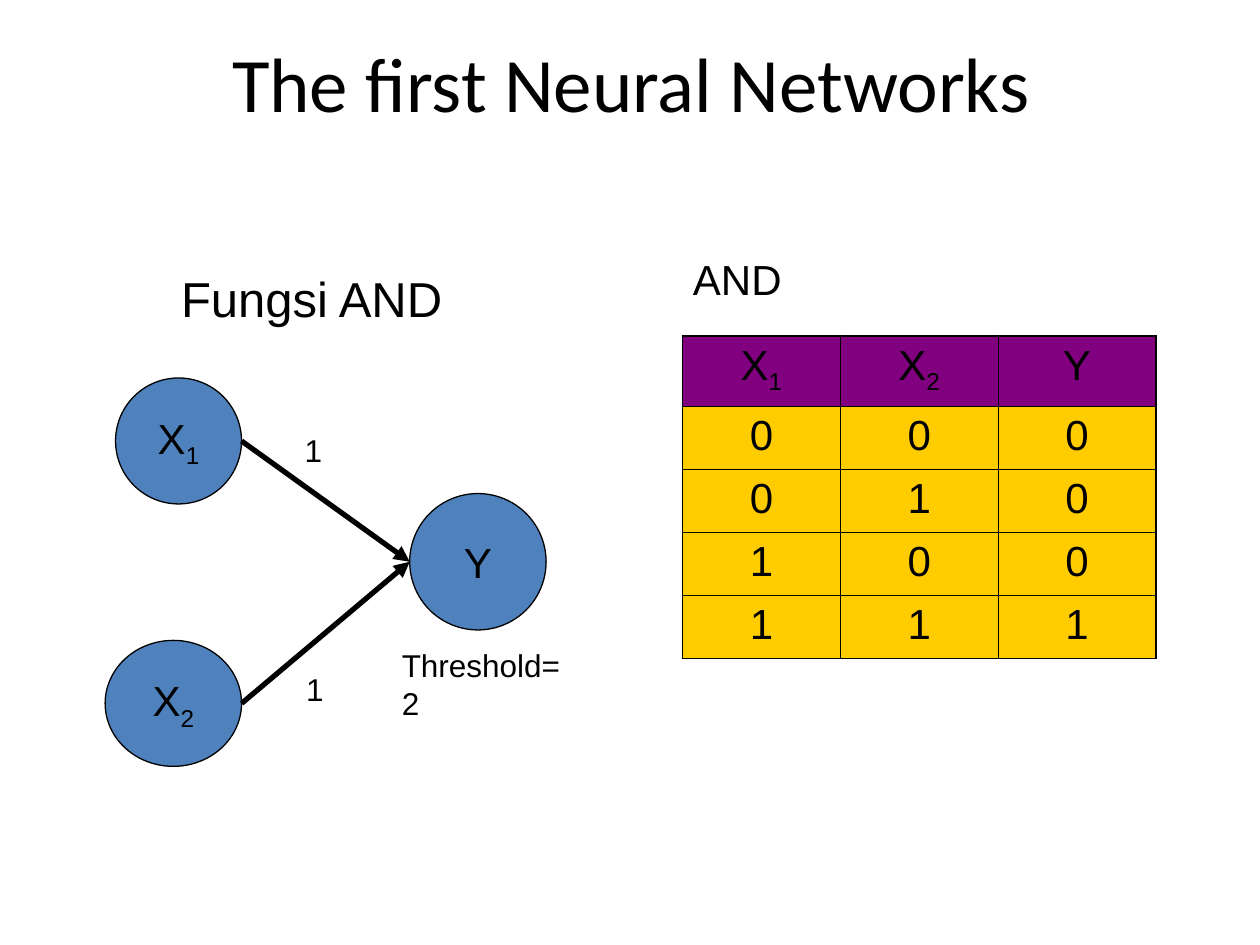
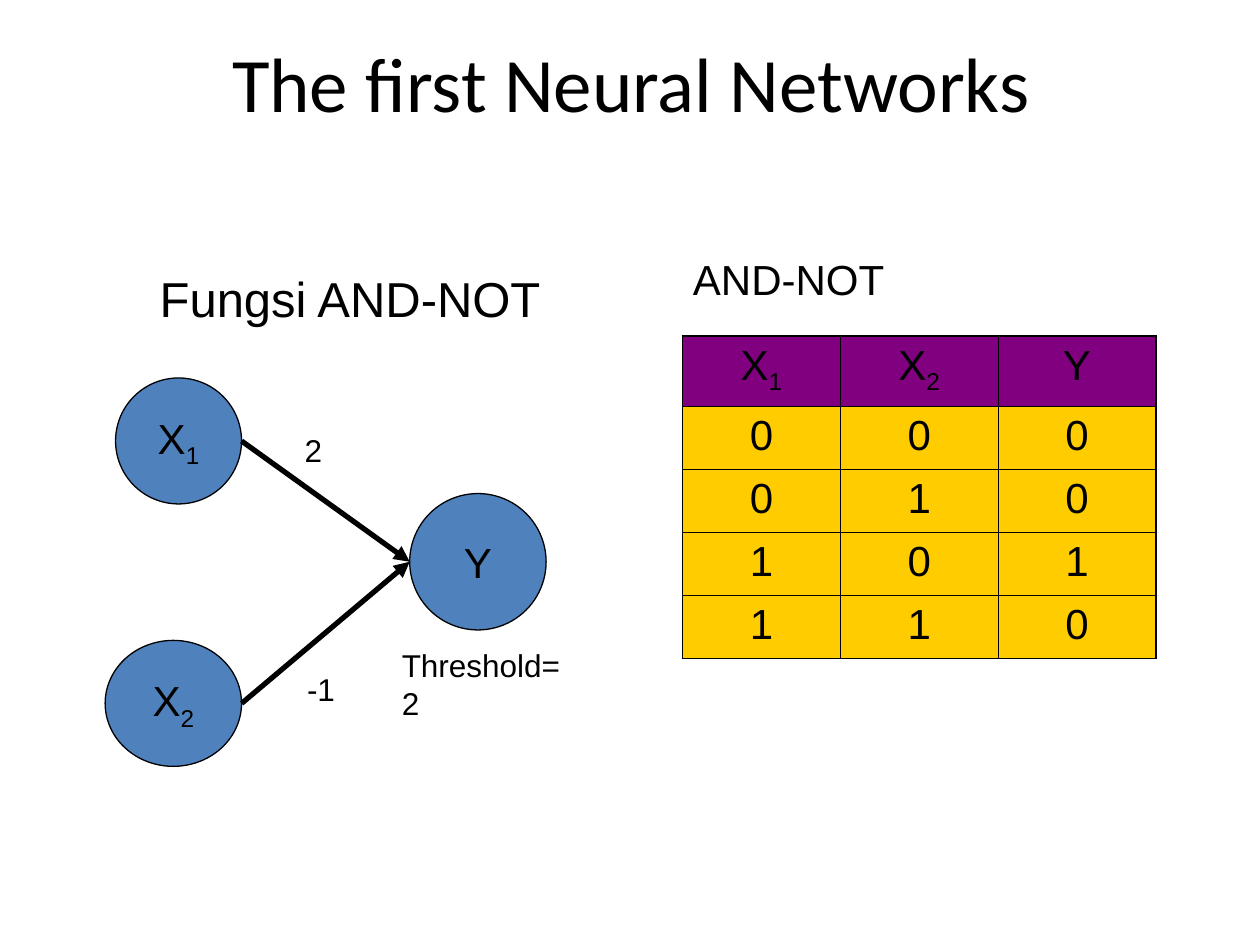
from lxml import etree
from pptx import Presentation
from pptx import util as u
from pptx.dml.color import RGBColor
from pptx.enum import shapes, text
from pptx.oxml import ns

BLACK = RGBColor(0x00, 0x00, 0x00)
BLUE = RGBColor(0x4F, 0x81, 0xBD)
PURPLE = RGBColor(0x80, 0x00, 0x80)
YELLOW = RGBColor(0xFF, 0xCC, 0x00)

TITLE = "The first Neural Networks"
CENTER = text.PP_ALIGN.CENTER
MIDDLE = text.MSO_ANCHOR.MIDDLE
OUTER, INNER = u.Pt(1.08), u.Pt(0.45)

# name: left, top, width, height in cm
NEURONS = {
    "X_1": (2.33, 7.62, 2.54, 2.54),
    "X_2": (2.12, 12.91, 2.75, 2.54),
    "Y": (8.26, 9.95, 2.75, 2.75),
}
INPUTS = [(0, 0), (0, 1), (1, 0), (1, 1)]

# Label boxes are left, top, width, height in cm
FUNCTIONS = [
    {
        "name": "AND",
        "outputs": [0, 0, 0, 1],
        "weights": [("1", (5.89, 8.56, 0.86, 1.02)), ("1", (5.92, 13.39, 0.86, 1.02))],
        "heading_box": (3.4, 5.28, 5.82, 1.45),
        "caption_width": 2.29,
    },
    {
        "name": "AND-NOT",
        "outputs": [0, 0, 1, 0],
        "weights": [("2", (5.89, 8.56, 0.86, 1.02)), ("-1", (5.94, 13.39, 1.07, 1.02))],
        "heading_box": (2.97, 5.28, 8.23, 1.45),
        "caption_width": 4.37,
    },
]


def write(frame, content, size=24, font="Arial", align=None, anchor=None,
          wrap=False, space_before=0):
    """Fill a text frame; the part after an underscore becomes a subscript."""
    if wrap is not None:
        frame.word_wrap = wrap
    if anchor is not None:
        frame.vertical_anchor = anchor
    paragraph = frame.paragraphs[0]
    paragraph.alignment = align
    if space_before:
        paragraph.space_before = u.Pt(space_before)
    for index, part in enumerate(content.split("_")):
        run = paragraph.add_run()
        run.text = part
        run.font.name = font
        run.font.size = u.Pt(size)
        run.font.bold = False
        run.font.color.rgb = BLACK
        if index:
            run.font._element.set("baseline", "-25000")


def set_borders(cell, widths):
    """Draw the left, right, top and bottom borders of a cell."""
    properties = cell._tc.get_or_add_tcPr()
    for index, (side, width) in enumerate(zip("LRTB", widths)):
        line = etree.Element(ns.qn(f"a:ln{side}"), w=str(int(width)))
        fill = etree.SubElement(line, ns.qn("a:solidFill"))
        etree.SubElement(fill, ns.qn("a:srgbClr"), val=str(BLACK))
        properties.insert(index, line)


presentation = Presentation()
presentation.slide_width = u.Cm(25.4)
presentation.slide_height = u.Cm(19.05)

for function in FUNCTIONS:
    slide = presentation.slides.add_slide(presentation.slide_layouts[6])

    title = slide.shapes.add_textbox(u.Cm(0.05), u.Cm(0.05), u.Cm(25.35), u.Cm(3.18))
    write(title.text_frame, TITLE, size=44, font="Calibri", align=CENTER,
          anchor=MIDDLE, wrap=True)

    # Truth table
    rows = [("X_1", "X_2", "Y")]
    rows += [(*pair, output) for pair, output in zip(INPUTS, function["outputs"])]
    table = slide.shapes.add_table(len(rows), 3, u.Cm(13.76), u.Cm(6.77),
                                   u.Cm(9.53), u.Cm(6.5)).table
    table.first_row = False
    table.horz_banding = False
    for column in table.columns:
        column.width = u.Cm(3.18)
    last_row, last_column = len(rows) - 1, 2
    for r, values in enumerate(rows):
        table.rows[r].height = u.Cm(1.27 if r else 1.42)
        for c, value in enumerate(values):
            cell = table.cell(r, c)
            cell.fill.solid()
            cell.fill.fore_color.rgb = YELLOW if r else PURPLE
            write(cell.text_frame, str(value), align=CENTER, wrap=None, space_before=6)
            edges = (c == 0, c == last_column, r == 0, r == last_row)
            set_borders(cell, [OUTER if edge else INNER for edge in edges])

    # Network diagram
    neurons = {}
    for name, box in NEURONS.items():
        neuron = slide.shapes.add_shape(shapes.MSO_SHAPE.OVAL, *map(u.Cm, box))
        neuron.shadow.inherit = False
        neuron.fill.solid()
        neuron.fill.fore_color.rgb = BLUE
        neuron.line.color.rgb = BLACK
        neuron.line.width = u.Pt(0.75)
        write(neuron.text_frame, name, align=CENTER, anchor=MIDDLE)
        neurons[name] = neuron

    target = neurons["Y"]
    for name in ("X_1", "X_2"):
        source = neurons[name]
        arrow = slide.shapes.add_connector(
            shapes.MSO_CONNECTOR.STRAIGHT,
            source.left + source.width, source.top + source.height // 2,
            target.left, target.top + target.height // 2)
        arrow.line.color.rgb = BLACK
        arrow.line.width = u.Pt(3)
        etree.SubElement(arrow.line._get_or_add_ln(), ns.qn("a:tailEnd"), type="triangle")
        etree.SubElement(arrow._element.spPr, ns.qn("a:effectLst"))

    # Labels
    labels = [(weight, box, 18) for weight, box in function["weights"]]
    labels += [
        ("Threshold=2", (7.85, 12.9, 4.04, 1.02), 18),
        (f"Fungsi {function['name']}", function["heading_box"], 28),
        (function["name"], (13.72, 4.98, function["caption_width"], 1.27), 24),
    ]
    for content, box, size in labels:
        label = slide.shapes.add_textbox(*map(u.Cm, box))
        label.text_frame.auto_size = text.MSO_AUTO_SIZE.SHAPE_TO_FIT_TEXT
        write(label.text_frame, content, size=size)

presentation.save("out.pptx")
